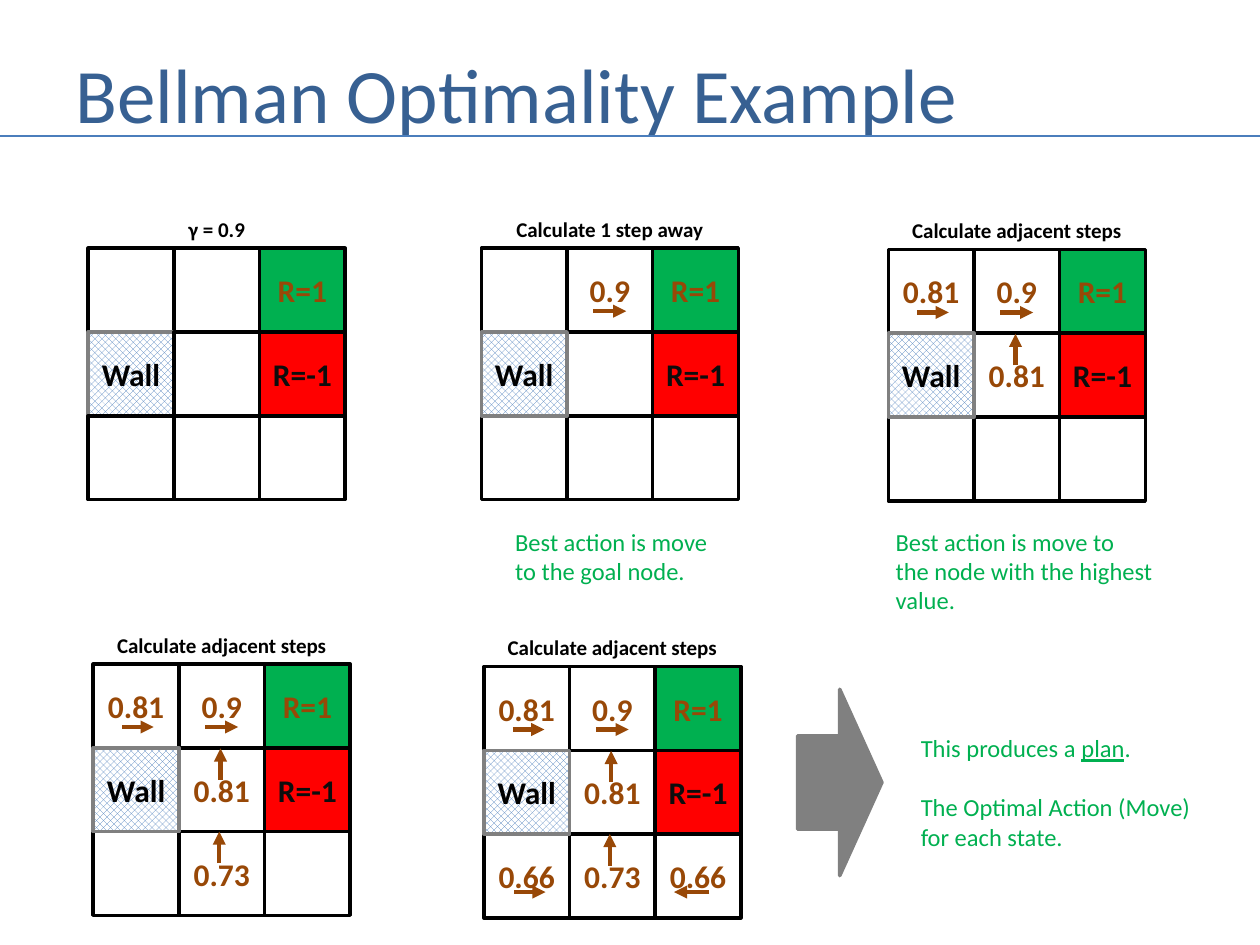
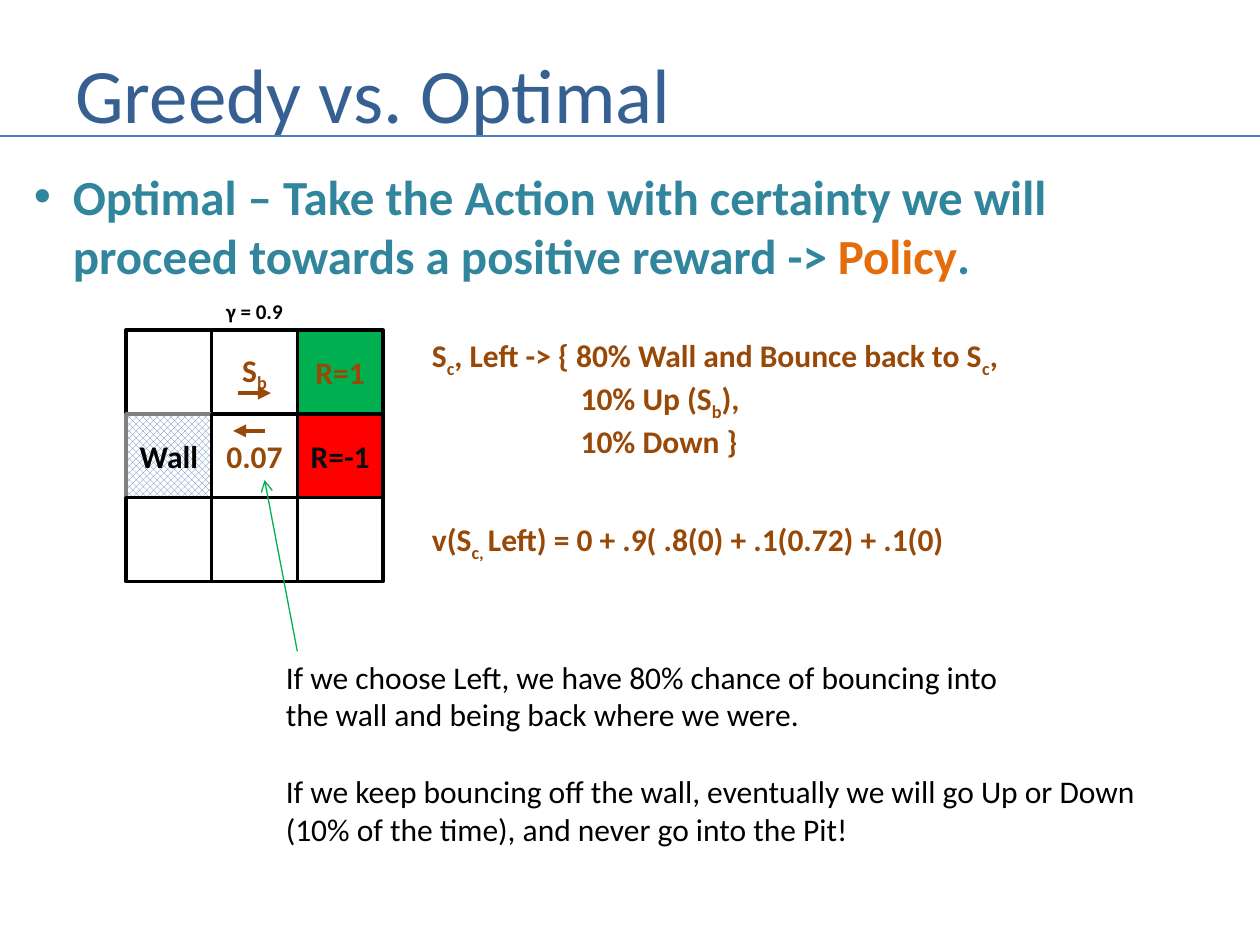
from lxml import etree
from pptx import Presentation
from pptx.dml.color import RGBColor
from pptx.enum.dml import MSO_PATTERN
from pptx.enum.shapes import MSO_CONNECTOR as CONNECTOR, MSO_SHAPE as SHAPE
from pptx.enum.text import MSO_ANCHOR as ANCHOR, PP_ALIGN as ALIGN
from pptx.oxml.ns import qn
from pptx.util import Inches, Pt

FONT = "Calibri"
BLACK = RGBColor(0x00, 0x00, 0x00)
NEAR_BLACK = RGBColor(0x0D, 0x0D, 0x0D)
WHITE = RGBColor(0xFF, 0xFF, 0xFF)
GRAY = RGBColor(0x80, 0x80, 0x80)
NAVY = RGBColor(0x37, 0x60, 0x92)
RULE_BLUE = RGBColor(0x4B, 0x7E, 0xBC)
HATCH_BLUE = RGBColor(0x4F, 0x81, 0xBD)
TEAL = RGBColor(0x31, 0x85, 0x9C)
ORANGE = RGBColor(0xE4, 0x6C, 0x0A)
BROWN = RGBColor(0x98, 0x48, 0x07)
GREEN = RGBColor(0x00, 0xB0, 0x50)
RED = RGBColor(0xFF, 0x00, 0x00)

CELL_W, CELL_H = 0.68, 0.665
GOAL, PIT, WALL = (0, 2), (1, 2), (1, 0)
# Arrow of each (row, column) state: x1, y1, x2, y2 from the grid corner
MOVES = {
    (0, 0): (0.23, 0.5, 0.48, 0.5),
    (0, 1): (0.89, 0.5, 1.15, 0.5),
    (1, 1): (1.01, 0.92, 1.01, 0.67),
    (2, 0): (0.24, 1.79, 0.49, 1.79),
    (2, 1): (1.0, 1.58, 1.0, 1.33),
    (2, 2): (1.79, 1.79, 1.51, 1.79),
}
BOUNCE_LEFT = (1.1, 0.8, 0.85, 0.8)


def add_runs(p, parts):
    """Fill p from strings and (text, style) pairs; style is "sub", "u" or a colour."""
    for part in [parts] if isinstance(parts, str) else parts:
        text, style = (part, None) if isinstance(part, str) else part
        r = p.add_run()
        r.text = text
        if style == "sub":
            r.font._element.set("baseline", "-25000")
        elif style == "u":
            r.font.underline = True
        elif style is not None:
            r.font.color.rgb = style


def style_paragraph(p, size, color, bold=False, align=ALIGN.LEFT):
    p.alignment = align
    p.font.name = FONT
    p.font.size = Pt(size)
    p.font.bold = bold
    p.font.color.rgb = color


def set_indent(p, left, first=0):
    pPr = p._p.get_or_add_pPr()
    pPr.set("marL", str(Inches(left)))
    pPr.set("indent", str(Inches(first)))
    return pPr


def add_text(s, box, paragraphs, size, color, bold=False, align=ALIGN.LEFT):
    tf = s.shapes.add_textbox(*map(Inches, box)).text_frame
    tf.word_wrap = True
    for i, parts in enumerate(paragraphs):
        p = tf.add_paragraph() if i else tf.paragraphs[0]
        add_runs(p, parts)
        style_paragraph(p, size, color, bold, align)
    return tf


def add_line(s, x1, y1, x2, y2, color, width, head=None):
    line = s.shapes.add_connector(CONNECTOR.STRAIGHT, *map(Inches, (x1, y1, x2, y2)))
    line.line.color.rgb = color
    line.line.width = Pt(width)
    if head:
        etree.SubElement(line.line._get_or_add_ln(), qn("a:tailEnd"), type=head)
    etree.SubElement(line._element.spPr, qn("a:effectLst"))


def add_box(s, shape, box, fill, outline):
    sp = s.shapes.add_shape(shape, *map(Inches, box))
    sp.shadow.inherit = False
    sp.fill.solid()
    sp.fill.fore_color.rgb = fill
    sp.line.color.rgb = outline
    sp.line.width = Pt(2)
    return sp


def add_cell(s, left, top, state, value):
    row, col = state
    fill = {GOAL: GREEN, PIT: RED}.get(state, WHITE)
    box = (left + col * CELL_W, top + row * CELL_H, CELL_W, CELL_H)
    sp = add_box(s, SHAPE.RECTANGLE, box, fill, GRAY if state == WALL else BLACK)
    if state == WALL:
        sp.fill.patterned()
        sp.fill.pattern = MSO_PATTERN.OUTLINED_DIAMOND
        sp.fill.fore_color.rgb = HATCH_BLUE
        sp.fill.back_color.rgb = WHITE
    if value:
        tf = sp.text_frame
        tf.margin_left = tf.margin_right = 0
        tf.vertical_anchor = ANCHOR.MIDDLE
        add_runs(tf.paragraphs[0], value)
        color = {PIT: NEAR_BLACK, WALL: BLACK}.get(state, BROWN)
        style_paragraph(tf.paragraphs[0], 18, color, True, ALIGN.CENTER)


def add_grid(s, left, top, caption, values, wall_on_top=True, moves=MOVES):
    """Draw a 3 x 3 world with its caption, state values and best moves."""
    labels = {GOAL: "R=1", PIT: "R=-1", WALL: "Wall"} | values
    states = [(row, col) for row in range(3) for col in range(3)]
    if wall_on_top:
        states.sort(key=lambda state: state == WALL)
    for state in states:
        add_cell(s, left, top, state, labels.get(state))
    for state in values:
        x1, y1, x2, y2 = moves[state]
        add_line(s, left + x1, top + y1, left + x2, top + y2, BROWN, 2.5, "triangle")
    add_text(s, (left, top - 0.3, 3 * CELL_W, 0.3), [caption], 12, BLACK, True, ALIGN.CENTER)


def add_slide(prs, title):
    s = prs.slides.add_slide(prs.slide_layouts[6])
    tf = add_text(s, (0.5, 0.3, 9.08, 0.87), [title], 44, NAVY)
    tf.vertical_anchor = ANCHOR.MIDDLE
    add_line(s, 0, 1.08, 10, 1.08, RULE_BLUE, 1.5)
    return s


def build_bellman(prs):
    s = add_slide(prs, "Bellman Optimality Example")
    adjacent = "Calculate adjacent steps"
    one_step = {(0, 1): "0.9"}
    two_steps = one_step | {(0, 0): "0.81", (1, 1): "0.81"}
    three_steps = two_steps | {(2, 1): "0.73"}
    all_steps = three_steps | {(2, 0): "0.66", (2, 2): "0.66"}
    add_grid(s, 0.7, 1.97, "γ = 0.9", {}, wall_on_top=False)
    add_grid(s, 3.82, 1.97, "Calculate 1 step away", one_step)
    add_grid(s, 7.05, 1.98, adjacent, two_steps)
    add_grid(s, 0.74, 5.27, adjacent, three_steps)
    add_grid(s, 3.84, 5.29, adjacent, all_steps)

    add_text(s, (3.99, 4.13, 1.9, 0.57),
             ["Best action is move", "to the goal node."], 14, GREEN)
    add_text(s, (7.01, 4.13, 2.4, 0.81),
             ["Best action is move to", "the node with the highest", "value."], 14, GREEN)
    add_box(s, SHAPE.RIGHT_ARROW, (6.33, 5.47, 0.67, 1.48), GRAY, GRAY)
    tf = add_text(s, (7.21, 5.77, 2.5, 1.04),
                  [["This produces a ", ("plan", "u"), "."],
                   "The Optimal Action (Move)", "for each state."], 14, GREEN)
    tf.paragraphs[1].space_before = Pt(17)


def build_greedy(prs):
    s = add_slide(prs, "Greedy vs. Optimal")
    add_grid(s, 1, 2.62, "γ = 0.9", {(0, 1): ["S", ("b", "sub")], (1, 1): "0.07"},
             wall_on_top=False, moves=MOVES | {(1, 1): BOUNCE_LEFT})

    tf = add_text(s, (0.17, 1.27, 9.58, 1.04),
                  [["Optimal – Take the Action with certainty we will proceed "
                    "towards a positive reward -> ", ("Policy", ORANGE), "."]],
                  28, TEAL, True)
    pPr = set_indent(tf.paragraphs[0], 0.31, -0.31)
    bullet = etree.Element(qn("a:buChar"), char="•")
    bullet_font = etree.Element(qn("a:buFont"), typeface="Arial")
    pPr.insert(0, bullet_font)
    pPr.insert(1, bullet)

    tf = add_text(s, (3.33, 2.62, 5, 1.01),
                  [["S", ("c", "sub"), ", Left -> { 80% Wall and Bounce back to S",
                    ("c", "sub"), ","],
                   ["10% Up (S", ("b", "sub"), "),"],
                   "10% Down }"], 18, BROWN, True)
    for p in tf.paragraphs[1:]:
        set_indent(p, 1.18)
    add_text(s, (3.33, 4.08, 4.5, 0.4),
             [["v(S", ("c, ", "sub"), "Left) = 0 + .9( .8(0) + .1(0.72) + .1(0)"]],
             18, BROWN, True)

    add_line(s, 2.36, 5.17, 2.1, 3.81, GREEN, 0.75, "arrow")
    tf = add_text(s, (2.17, 5.17, 7.2, 1.62),
                  ["If we choose Left, we have 80% chance of bouncing into",
                   "the wall and being back where we were.",
                   "If we keep bouncing off the wall, eventually we will go Up or Down",
                   "(10% of the time), and never go into the Pit!"], 18, BLACK)
    tf.paragraphs[2].space_before = Pt(22)


def main():
    prs = Presentation()
    prs.slide_width, prs.slide_height = Inches(10), Inches(7.5)
    build_bellman(prs)
    build_greedy(prs)
    prs.save("out.pptx")


if __name__ == "__main__":
    main()
